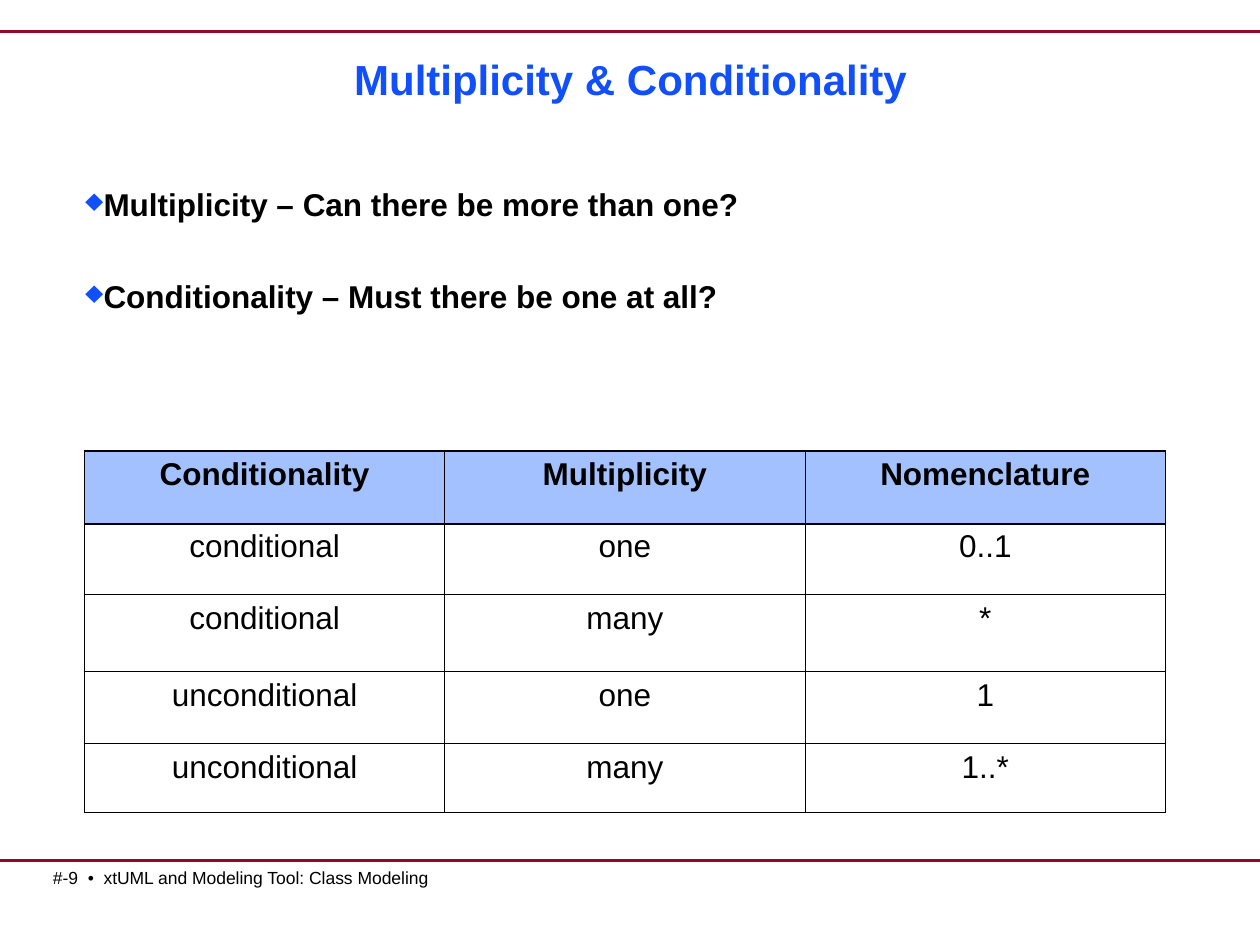
import pptx
import pptx.util
import pptx.dml.color
import pptx.enum.shapes
import pptx.enum.text
import pptx.oxml.ns
from lxml import etree

Inches, Pt = pptx.util.Inches, pptx.util.Pt
PP_ALIGN = pptx.enum.text.PP_ALIGN
ANCHOR = pptx.enum.text.MSO_ANCHOR

BLACK, WHITE, MAROON = "000000", "FFFFFF", "950728"
BLUE, HEADER_BLUE = "114FFB", "A2C1FE"

BULLETS = [
    "Multiplicity – Can there be more than one?",
    "Conditionality – Must there be one at all?",
]
ROWS = [
    ("Conditionality", "Multiplicity", "Nomenclature"),
    ("conditional", "one", "0..1"),
    ("conditional", "many", "*"),
    ("unconditional", "one", "1"),
    ("unconditional", "many", "1..*"),
]
ROW_HEIGHTS = [0.57, 0.57, 0.61, 0.57, 0.55]
TABLE_LEFT, TABLE_TOP, TABLE_WIDTH = 0.67, 3.58, 8.58


def rgb(value):
    return pptx.dml.color.RGBColor.from_string(value)


def child(parent, tag, **attrs):
    return etree.SubElement(parent, pptx.oxml.ns.qn(tag), **attrs)


def apply(target, values):
    for name, value in values.items():
        setattr(target, name, value)


def write(p, text, size, color=BLACK, bold=False, **paragraph):
    r = p.add_run()
    r.text = text
    apply(r.font, {"name": "Arial", "size": Pt(size), "bold": bold})
    r.font.color.rgb = rgb(color)
    apply(p, paragraph)


def add_text_frame(s, box, side=0.1, anchor=ANCHOR.TOP):
    tf = s.shapes.add_textbox(*map(Inches, box)).text_frame
    apply(tf, {
        "word_wrap": True,
        "vertical_anchor": anchor,
        "margin_left": Inches(side),
        "margin_right": Inches(side),
        "margin_top": Inches(0.05),
        "margin_bottom": Inches(0.05),
    })
    return tf


def add_rule(s, y):
    line = s.shapes.add_connector(
        pptx.enum.shapes.MSO_CONNECTOR.STRAIGHT,
        Inches(0), Inches(y), Inches(10), Inches(y))
    line.line.color.rgb = rgb(MAROON)
    line.line.width = Pt(1.5)
    child(line._element.spPr, "a:effectLst")


def add_header_band(s):
    sp = s.shapes.add_shape(
        pptx.enum.shapes.MSO_SHAPE.RECTANGLE,
        *map(Inches, (TABLE_LEFT, TABLE_TOP, TABLE_WIDTH, 0.58)))
    sp.shadow.inherit = False
    sp.fill.solid()
    sp.fill.fore_color.rgb = rgb(HEADER_BLUE)
    sp.line.color.rgb = rgb(BLACK)
    sp.line.width = Pt(1)


def add_bullets(s, box):
    tf = add_text_frame(s, box)
    for i, text in enumerate(BULLETS):
        p = tf.add_paragraph() if i else tf.paragraphs[0]
        pPr = p._p.get_or_add_pPr()
        apply(pPr, {"marL": Inches(0.38), "indent": Inches(-0.38)})
        child(child(pPr, "a:buClr"), "a:srgbClr", val=BLUE)
        child(pPr, "a:buChar", char="♦")
        write(p, text, 18, bold=True, space_before=Pt(31 if i else 0))


def set_borders(cell, row, col):
    outer = {
        "a:lnL": col == 0,
        "a:lnR": col == len(ROWS[0]) - 1,
        "a:lnT": row == 0,
        "a:lnB": row == len(ROWS) - 1,
    }
    tcPr = cell._tc.get_or_add_tcPr()
    for tag, is_outer in outer.items():
        ln = child(tcPr, tag, w=str(Pt(1.08 if is_outer else 0.45)))
        child(child(ln, "a:solidFill"), "a:srgbClr", val=BLACK)


def add_table(s):
    table = s.shapes.add_table(
        len(ROWS), len(ROWS[0]),
        *map(Inches, (TABLE_LEFT, TABLE_TOP, TABLE_WIDTH, sum(ROW_HEIGHTS)))).table
    apply(table, {"first_row": False, "horz_banding": False})
    for i, (height, texts) in enumerate(zip(ROW_HEIGHTS, ROWS)):
        table.rows[i].height = Inches(height)
        for j, text in enumerate(texts):
            cell = table.cell(i, j)
            set_borders(cell, i, j)
            cell.fill.background()
            write(cell.text_frame.paragraphs[0], text, 18, bold=i == 0,
                  alignment=PP_ALIGN.CENTER)


def main():
    prs = pptx.Presentation()
    prs.slide_width, prs.slide_height = Inches(10), Inches(7.5)
    s = prs.slides.add_slide(prs.slide_layouts[6])
    s.background.fill.solid()
    s.background.fill.fore_color.rgb = rgb(WHITE)

    for y in (0.25, 6.83):
        add_rule(s, y)
    footer = add_text_frame(s, (0.42, 6.83, 4.83, 0.27), side=0)
    write(footer.paragraphs[0], "#-9  •  xtUML and Modeling Tool: Class Modeling", 10)
    add_header_band(s)
    title = add_text_frame(s, (0.17, 0.25, 9.67, 0.75), anchor=ANCHOR.MIDDLE)
    write(title.paragraphs[0], "Multiplicity & Conditionality", 24, BLUE, True,
          alignment=PP_ALIGN.CENTER)
    add_bullets(s, (0.58, 1.42, 8.17, 1.75))
    add_table(s)
    prs.save("out.pptx")


if __name__ == "__main__":
    main()
